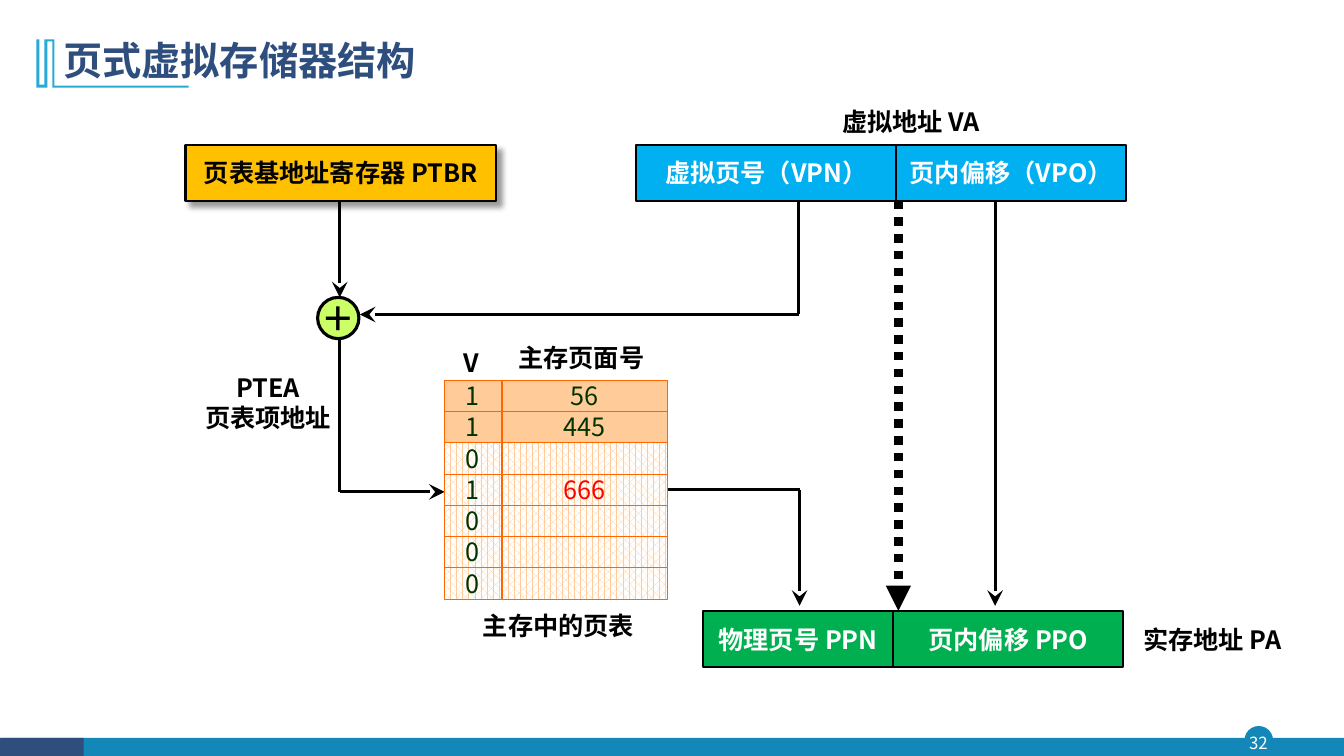
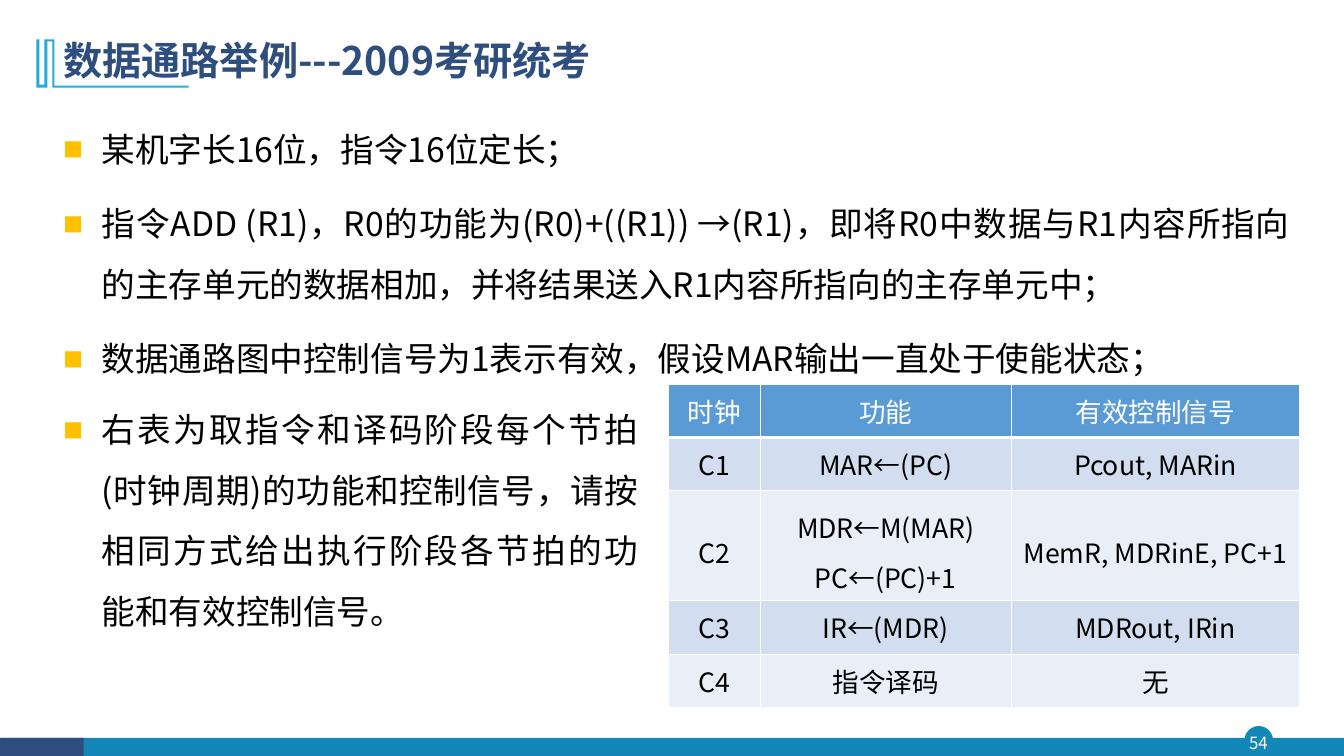
import pptx
import pptx.dml.color
import pptx.enum.dml
import pptx.enum.shapes
import pptx.enum.text
import pptx.oxml.ns
import pptx.util
from lxml import etree

PX = 9144
FONT = "Noto Sans CJK SC"
NAVY, TEAL, SKY, GOLD = "2E4E7E", "1387B7", "28A9D6", "FFC000"
BLACK, WHITE, RED, MOSS = "000000", "FFFFFF", "FF0000", "003300"
GREEN, BLUE, LIME = "00B050", "00B0F0", "CCFF66"
PEACH, RUST = "FFCC99", "FF6600"
HEAD, BANDS = "5B9BD5", ("D2DEEF", "EAEFF7")
ALIGN = pptx.enum.text.PP_ALIGN
ANCHOR = pptx.enum.text.MSO_ANCHOR
SHAPE = pptx.enum.shapes.MSO_SHAPE
DOTS = pptx.enum.dml.MSO_LINE.ROUND_DOT
MARK = [(54, 39), (54, 85), (187, 85), (187, 87), (52, 87), (52, 41), (47, 41),
        (47, 87), (36, 87), (36, 39), (39, 39), (39, 84), (44, 84), (44, 39)]
PAGES = [("1", "56"), ("1", "445"), ("0", ""), ("1", "666"), ("0", ""), ("0", ""), ("0", "")]
FACTS = [
    "某机字长16位，指令16位定长；",
    "指令ADD (R1)，R0的功能为(R0)+((R1)) →(R1)，即将R0中数据与R1内容所指向的主存单元的数据相加，并将结果送入R1内容所指向的主存单元中；",
    "数据通路图中控制信号为1表示有效，假设MAR输出一直处于使能状态；",
]
TASK = "右表为取指令和译码阶段每个节拍(时钟周期)的功能和控制信号，请按相同方式给出执行阶段各节拍的功能和有效控制信号。"
STEPS = [
    ("时钟", "功能", "有效控制信号"),
    ("C1", "MAR←(PC)", "Pcout, MARin"),
    ("C2", "MDR←M(MAR)\nPC←(PC)+1", "MemR, MDRinE, PC+1"),
    ("C3", "IR←(MDR)", "MDRout, IRin"),
    ("C4", "指令译码", "无"),
]


def emu(*sizes):
    """Turn px lengths into EMU."""
    return [size * PX for size in sizes]


def rgb(code):
    """Turn a hex string into a colour."""
    return pptx.dml.color.RGBColor.from_string(code)


def node(parent, tag, **attrs):
    """Append a drawing element to its parent."""
    return etree.SubElement(parent, pptx.oxml.ns.qn("a:" + tag), attrs)


def write(frame, text, size, color, bold=False, align=ALIGN.CENTER, space=None):
    """Put styled text in a frame."""
    frame.text = text
    for para in frame.paragraphs:
        para.alignment = align
        if space:
            para.line_spacing = space
        for run in para.runs:
            run.font.name = FONT
            run.font.size = pptx.util.Pt(size)
            run.font.bold = bold
            run.font.color.rgb = rgb(color)
            node(run.font._element, "ea", typeface=FONT)


def label(slide, box, text, size=18, color=BLACK, bold=True, **style):
    """Add a text box centred on its middle line."""
    frame = slide.shapes.add_textbox(*emu(*box)).text_frame
    frame.word_wrap = False
    frame.vertical_anchor = ANCHOR.MIDDLE
    write(frame, text, size, color, bold, **style)
    return frame


def paint(shape, fill, line=None, width=1):
    """Give a shape its fill and outline."""
    shape.shadow.inherit = False
    shape.fill.solid()
    shape.fill.fore_color.rgb = rgb(fill)
    if line:
        shape.line.color.rgb = rgb(line)
        shape.line.width = pptx.util.Pt(width)
    else:
        shape.line.fill.background()


def block(slide, box, fill, text="", color=WHITE, line=BLACK, width=1.5,
          kind=SHAPE.RECTANGLE, size=18, bold=True):
    """Add a filled shape with optional text."""
    shape = slide.shapes.add_shape(kind, *emu(*box))
    paint(shape, fill, line, width)
    if text:
        shape.text_frame.word_wrap = False
        shape.text_frame.vertical_anchor = ANCHOR.MIDDLE
        write(shape.text_frame, text, size, color, bold)
    return shape


def shade(shape):
    """Cast a soft shadow to the lower right."""
    spot = node(shape._element.spPr.find(pptx.oxml.ns.qn("a:effectLst")), "outerShdw",
                blurRad="50800", dist="63500", dir="2700000", algn="tl", rotWithShape="0")
    node(node(spot, "srgbClr", val=BLACK), "alpha", val="40000")


def wire(slide, ends, tip=None, width=2.25, dash=None):
    """Draw a straight line with an optional arrowhead."""
    line = slide.shapes.add_connector(pptx.enum.shapes.MSO_CONNECTOR.STRAIGHT, *emu(*ends))
    line.line.color.rgb = rgb(BLACK)
    line.line.width = pptx.util.Pt(width)
    if dash:
        line.line.dash_style = dash
    if tip:
        span = "lg" if tip == "stealth" else "med"
        node(line.line._get_or_add_ln(), "tailEnd", type=tip, w=span, len=span)
    node(line._element.spPr, "effectLst")


def points(slide, box, items):
    """Add a list with square gold bullets."""
    frame = slide.shapes.add_textbox(*emu(*box)).text_frame
    frame.word_wrap = True
    write(frame, "\n".join(items), 24, BLACK, align=ALIGN.JUSTIFY, space=1.5)
    for rank, para in enumerate(frame.paragraphs):
        if rank:
            para.space_before = pptx.util.Pt(10)
        props = para._p.get_or_add_pPr()
        props.set("marL", str(38 * PX))
        props.set("indent", str(-38 * PX))
        node(node(props, "buClr"), "srgbClr", val=GOLD)
        node(props, "buSzPct", val="60000")
        node(props, "buFont", typeface=FONT)
        node(props, "buChar", char="■")


def edge(cell, side, width):
    """Draw one white cell border."""
    line = node(cell._tc.get_or_add_tcPr(), "ln" + side, w=str(pptx.util.Pt(width)))
    node(node(line, "solidFill"), "srgbClr", val=WHITE)


def grid(slide, left, top, wides, highs, rows):
    """Add a table with a blue head and banded rows."""
    frame = slide.shapes.add_table(len(rows), len(wides),
                                   *emu(left, top, sum(wides), sum(highs)))
    table = frame.table
    for col, wide in zip(table.columns, wides):
        col.width = wide * PX
    for i, (high, texts) in enumerate(zip(highs, rows)):
        table.rows[i].height = high * PX
        tall = any("\n" in text for text in texts)
        for j, text in enumerate(texts):
            cell = table.cell(i, j)
            for side in "LRTB":
                edge(cell, side, 1 if i or side != "B" else 3)
            cell.fill.solid()
            cell.fill.fore_color.rgb = rgb(BANDS[(i - 1) % 2] if i else HEAD)
            cell.vertical_anchor = ANCHOR.MIDDLE
            write(cell.text_frame, text, 19, BLACK if i else WHITE,
                  space=1.3 if tall else None)


def base(deck, title, page):
    """Start a slide with its title, mark and footer."""
    slide = deck.slides.add_slide(deck.slide_layouts[6])
    block(slide, (1235, 721, 27, 27), TEAL, line=TEAL, width=1, kind=SHAPE.OVAL)
    block(slide, (1, 732, 1332, 18), TEAL, line=None)
    block(slide, (0, 732, 83, 18), NAVY, line=None)
    frame = label(slide, (1232, 721, 32, 31), page, 12, WHITE, False)
    frame.margin_left = frame.margin_right = frame.margin_top = frame.margin_bottom = 0
    path = slide.shapes.build_freeform(*MARK[0], scale=PX)
    path.add_line_segments(MARK[1:], close=True)
    paint(path.convert_to_shape(), SKY)
    frame = label(slide, (53, 28, 1150, 68), title, 28, NAVY, align=ALIGN.LEFT, space=0.9)
    frame.word_wrap = True
    return slide


def cells(slide):
    """Draw the page table with its valid bits."""
    for i, pair in enumerate(PAGES):
        for left, wide, text in zip((441, 498), (56, 164), pair):
            color = RED if text == "666" else MOSS
            shape = block(slide, (left, 377 + 31 * i, wide, 31), PEACH, text, color,
                          RUST, 0.25, bold=False)
            if i > 1:
                shape.fill.patterned()
                shape.fill.pattern = pptx.enum.dml.MSO_PATTERN.PERCENT_60
                shape.fill.fore_color.rgb = rgb(PEACH)
                shape.fill.back_color.rgb = rgb(WHITE)


def paging(deck):
    """Build the paged memory slide."""
    slide = base(deck, "页式虚拟存储器结构", "32")
    block(slide, (315, 295, 41, 41), LIME, "＋", BLACK, width=2.25, kind=SHAPE.OVAL, size=24)
    wire(slide, (792, 198, 792, 312))
    wire(slide, (792, 312, 357, 312), "stealth")
    wire(slide, (337, 198, 337, 295), "stealth")
    block(slide, (697, 606, 189, 56), GREEN, "物理页号 PPN")
    block(slide, (886, 606, 228, 56), GREEN, "页内偏移 PPO")
    wire(slide, (628, 486, 793, 486))
    wire(slide, (793, 486, 793, 601), "stealth")
    wire(slide, (987, 198, 987, 601), "stealth")
    wire(slide, (891, 199, 891, 606), "triangle", 6, DOTS)
    wire(slide, (337, 336, 337, 488))
    wire(slide, (337, 488, 441, 488), "stealth")
    cells(slide)
    shade(block(slide, (184, 144, 308, 55), GOLD, "页表基地址寄存器 PTBR", BLACK))
    block(slide, (631, 144, 258, 55), BLUE, "虚拟页号（VPN）")
    block(slide, (889, 144, 228, 55), BLUE, "页内偏移（VPO）")
    for box, text in [
        ((1108, 614, 189, 40), "实存地址 PA"),
        ((451, 601, 206, 40), "主存中的页表"),
        ((489, 335, 175, 40), "主存页面号"),
        ((429, 340, 76, 40), "V"),
        ((193, 364, 146, 71), "PTEA\n页表项地址"),
        ((811, 100, 185, 40), "虚拟地址 VA"),
    ]:
        label(slide, box, text)


def datapath(deck):
    """Build the data path exam slide."""
    slide = base(deck, "数据通路举例---2009考研统考", "54")
    points(slide, (53, 103, 1236, 606), FACTS)
    grid(slide, 663, 381, (91, 249, 286), (53, 53, 109, 53, 53), STEPS)
    points(slide, (53, 381, 590, 289), [TASK])


def main():
    """Build and save the deck."""
    deck = pptx.Presentation()
    deck.slide_width, deck.slide_height = emu(1333, 750)
    paging(deck)
    datapath(deck)
    deck.save("out.pptx")


if __name__ == "__main__":
    main()
